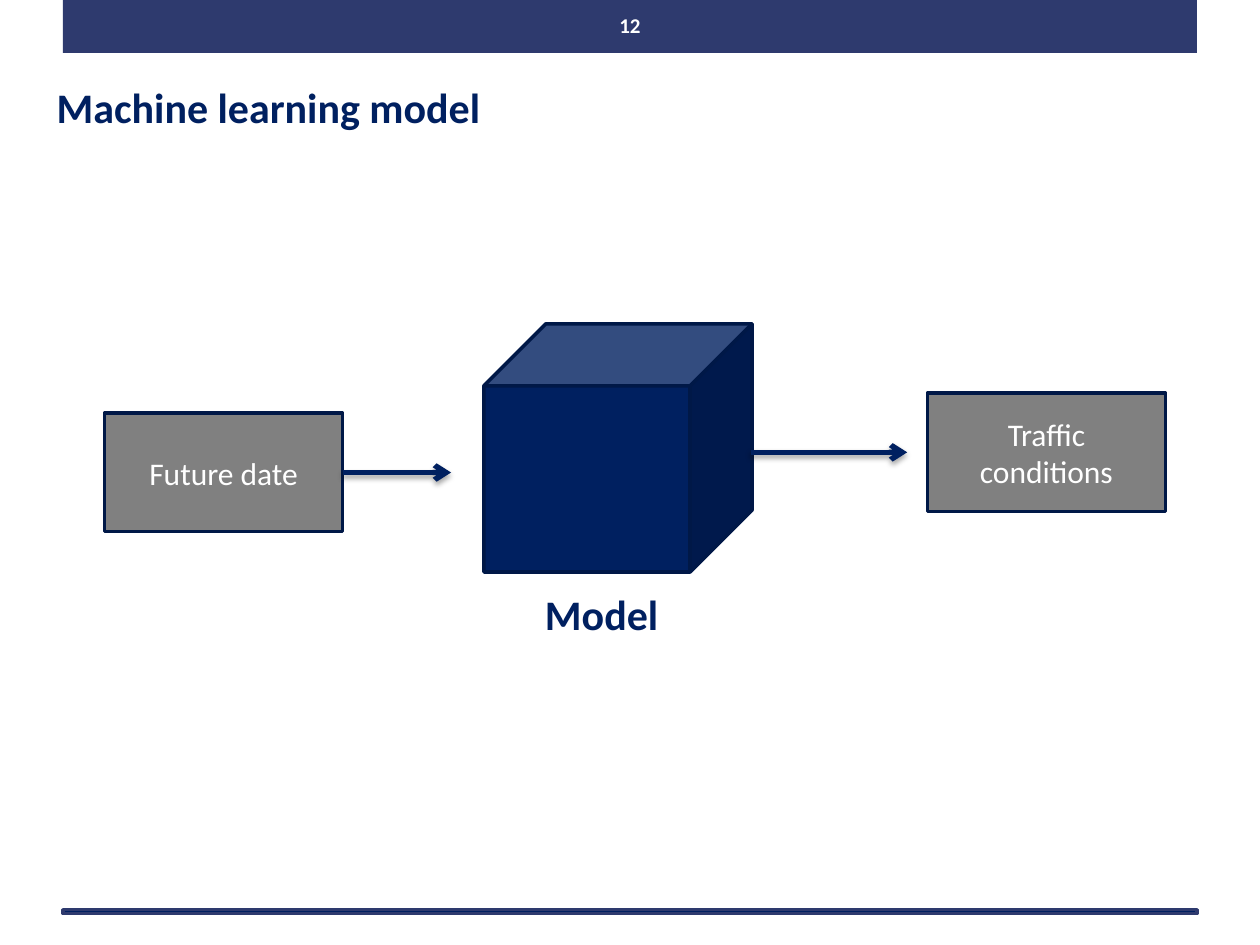
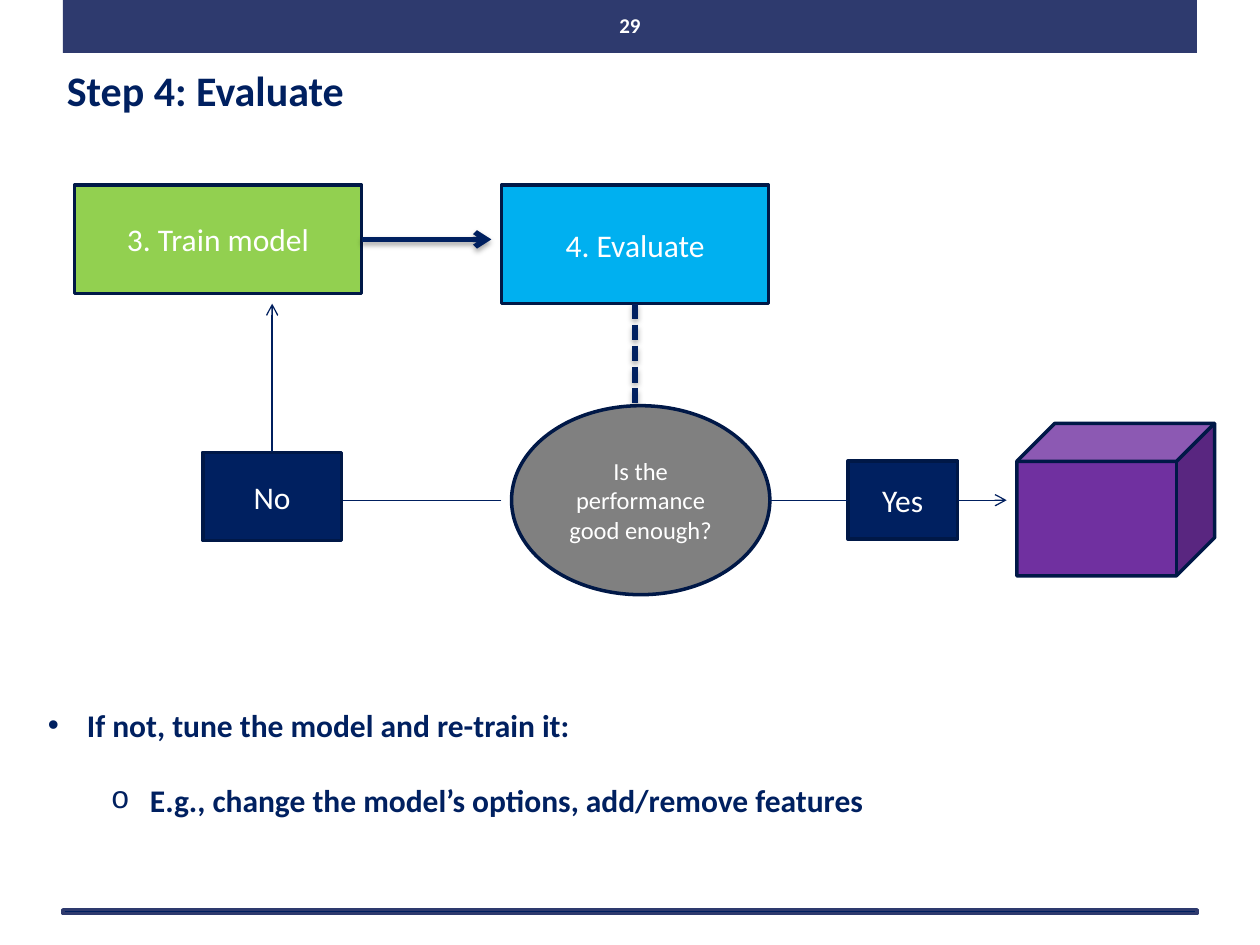
"""Builds two slides about training and judging a machine learning model."""
from lxml import etree
from pptx import Presentation
from pptx import util as u
from pptx.dml.color import RGBColor
from pptx.enum import dml, shapes, text
from pptx.oxml.ns import qn

PX = 9144
NAVY, EDGE, BAND, THIN = "002060", "001847", "2E3A6E", "001F5E"
GREY, GREEN, BLUE, PURPLE, WHITE = "808080", "92D050", "00B0F0", "7030A0", "FFFFFF"
RECT, CUBE, OVAL = (shapes.MSO_SHAPE.RECTANGLE, shapes.MSO_SHAPE.CUBE,
                    shapes.MSO_SHAPE.OVAL)
TOP, LEFT, BOTTOM, RIGHT = range(4)


def px(*vals):
    """Turn px lengths into EMU."""
    return [u.Emu(val * PX) for val in vals]


def rgb(code):
    """Turn a hex string into a colour."""
    return RGBColor.from_string(code)


def add(node, tag, **attrs):
    """Append an XML child with attributes."""
    return etree.SubElement(node, qn(tag), {k: str(v) for k, v in attrs.items()})


class Deck:
    """Holds the style and the current slide."""

    font = "Calibri"

    def __init__(self):
        """Start a blank deck of 10 by 7.5 inches."""
        self.prs = Presentation()
        self.prs.slide_width, self.prs.slide_height = px(1000, 750)
        self.slide = None

    def page(self, layout, num, title, *area):
        """Add a slide with its band, rule, number and title."""
        self.slide = self.prs.slides.add_slide(self.prs.slide_layouts[layout])
        self.box(50, 0, 900, 42, BAND, edge=None)
        self.box(50, 722, 900, 3, NAVY, edge=BAND)
        self.label(480, 0, 40, 40, num, 12, WHITE, text.MSO_ANCHOR.MIDDLE)
        self.holder(self.slide.shapes.title, area)
        self.words(self.slide.shapes.title, [title], 24, NAVY, True, text.PP_ALIGN.LEFT)

    def holder(self, shape, area):
        """Place a text holder that grows with its text."""
        shape.left, shape.top, shape.width, shape.height = px(*area)
        shape.text_frame.auto_size = text.MSO_AUTO_SIZE.SHAPE_TO_FIT_TEXT
        shape.text_frame.vertical_anchor = text.MSO_ANCHOR.TOP

    def words(self, shape, lines, size, color, bold, align):
        """Fill a shape with formatted paragraphs."""
        frame = shape.text_frame
        frame.word_wrap = True
        frame.text = "\n".join(lines)
        for para in frame.paragraphs:
            para.alignment = align
            for run in para.runs:
                run.font.name, run.font.size = self.font, u.Pt(size)
                run.font.bold, run.font.color.rgb = bold, rgb(color)

    def label(self, x, y, w, h, words, size, color, anchor=text.MSO_ANCHOR.TOP):
        """Add a bold centred text box."""
        shape = self.slide.shapes.add_textbox(*px(x, y, w, h))
        self.words(shape, [words], size, color, True, text.PP_ALIGN.CENTER)
        shape.text_frame.vertical_anchor = anchor

    def box(self, x, y, w, h, fill, words="", kind=RECT, size=18, edge=EDGE):
        """Add a filled shape with optional words."""
        shape = self.slide.shapes.add_shape(kind, *px(x, y, w, h))
        shape.shadow.inherit = False
        shape.fill.solid()
        shape.fill.fore_color.rgb = rgb(fill)
        if edge:
            shape.line.color.rgb = rgb(edge)
            shape.line.width = u.Pt(2)
        else:
            shape.line.fill.background()
        if words:
            self.words(shape, [words], size, WHITE, False, text.PP_ALIGN.CENTER)
            shape.text_frame.vertical_anchor = text.MSO_ANCHOR.MIDDLE
        return shape

    def line(self, ends, bold=False, head=True, dash=None, start=None, stop=None):
        """Add a thin line, or a bold one with a shadow."""
        link = self.slide.shapes.add_connector(
            shapes.MSO_CONNECTOR.STRAIGHT, *px(*ends))
        if start:
            link.begin_connect(*start)
        if stop:
            link.end_connect(*stop)
        link.line.color.rgb = rgb(NAVY if bold else THIN)
        link.line.width = u.Pt(3 if bold else 0.75)
        if dash:
            link.line.dash_style = dash
        props = link.element.spPr
        if head:
            add(props.find(qn("a:ln")), "a:tailEnd", type="arrow")
        effect = add(props, "a:effectLst")
        if bold:
            shade = add(effect, "a:outerShdw", blurRad=u.Pt(3.1), dist=u.Pt(1.8),
                        dir=5400000, rotWithShape=0)
            add(add(shade, "a:srgbClr", val="000000"), "a:alpha", val=35000)

    def points(self, area, items):
        """Fill the body with bullets one level deeper each."""
        body = self.slide.placeholders[1]
        self.holder(body, area)
        self.words(body, [words for _, _, words in items], 18, NAVY, True,
                   text.PP_ALIGN.LEFT)
        for level, (para, (mark, face, _)) in enumerate(
                zip(body.text_frame.paragraphs, items)):
            para.level, para.line_spacing, para.space_before = level, 2.0, u.Pt(0)
            props = para._p.get_or_add_pPr()
            props.set("marL", str((31 + 50 * level) * PX))
            props.set("indent", str(-31 * PX))
            add(props, "a:buFont", typeface=face)
            add(props, "a:buChar", char=mark)


def model(deck):
    """Draw the model between its input and output."""
    deck.page(5, "12", "Machine learning model", 35, 60, 764, 50)
    deck.box(384, 257, 213, 197, NAVY, kind=CUBE)
    deck.label(384, 462, 187, 50, "Model", 24, NAVY)
    date = deck.box(83, 328, 189, 94, GREY, "Future date")
    deck.line((272, 375, 358, 375), bold=True, start=(date, RIGHT))
    deck.line((596, 359, 720, 359), bold=True)
    deck.box(736, 312, 189, 94, GREY, "Traffic conditions")


def judge(deck):
    """Draw the loop from training to evaluation."""
    deck.page(1, "29", "Step 4: Evaluate", 43, 46, 425, 50)
    train = deck.box(59, 147, 228, 86, GREEN, "3. Train model")
    deck.line((287, 190, 390, 190), bold=True, start=(train, RIGHT))
    test = deck.box(398, 147, 212, 94, BLUE, "4. Evaluate")
    deck.line((504, 241, 504, 320), bold=True, head=False,
              dash=dml.MSO_LINE.SQUARE_DOT, start=(test, BOTTOM))
    deck.box(406, 322, 205, 150, GREY, "Is the performance good enough?", OVAL, 14)
    yes = deck.box(673, 366, 87, 62, NAVY, "Yes")
    deck.line((610, 397, 673, 397), head=False, stop=(yes, LEFT))
    deck.line((760, 397, 799, 397), start=(yes, RIGHT))
    deck.box(807, 336, 157, 121, PURPLE, kind=CUBE)
    deck.line((398, 397, 272, 397), head=False)
    no = deck.box(161, 359, 110, 70, NAVY, "No")
    deck.line((216, 359, 216, 241), start=(no, TOP))
    deck.points((28, 525, 717, 131), [
        ("•", "Arial", "If not, tune the model and re-train it:"),
        ("o", "Courier New", "E.g., change the model’s options, add/remove features"),
    ])


def main():
    """Build and save the deck."""
    deck = Deck()
    model(deck)
    judge(deck)
    deck.prs.save("out.pptx")


if __name__ == "__main__":
    main()
